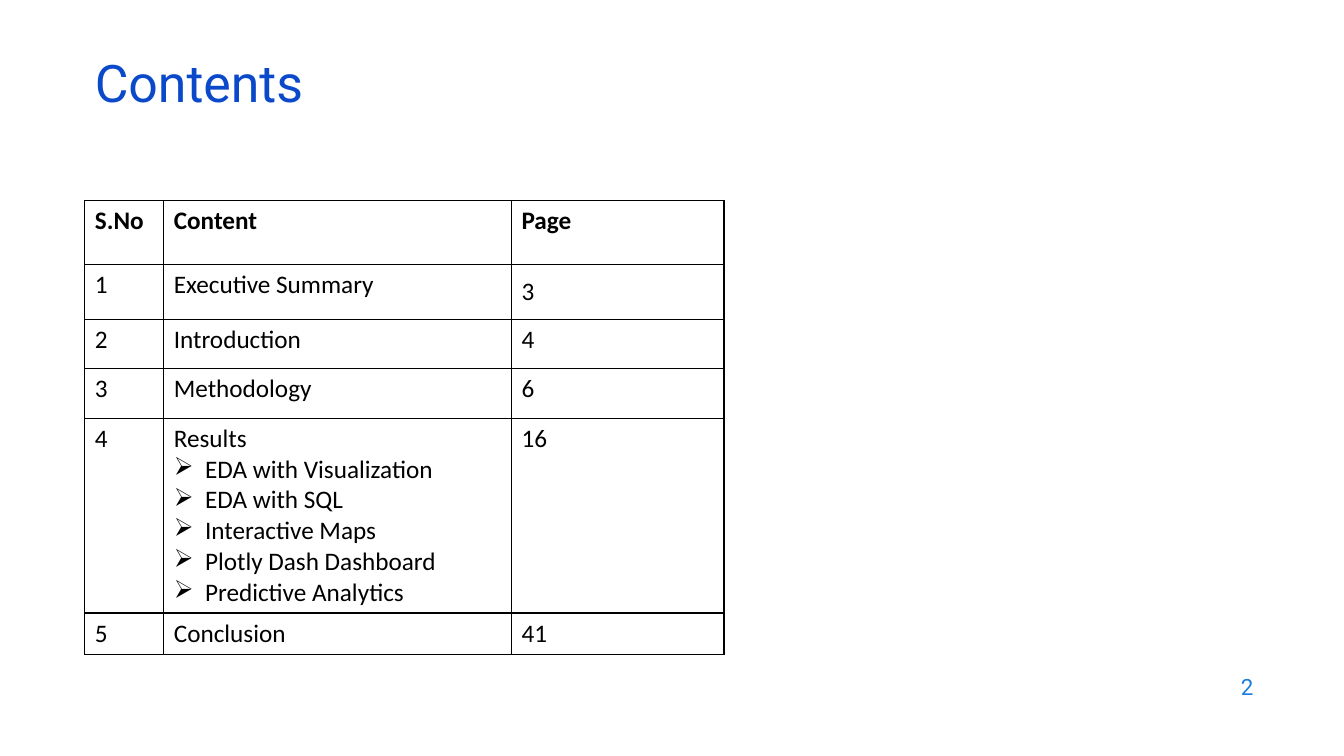
from dataclasses import dataclass

from lxml import etree
from pptx import Presentation
from pptx.dml.color import RGBColor
from pptx.enum.text import MSO_ANCHOR, PP_ALIGN
from pptx.oxml.ns import qn
from pptx.util import Inches, Pt

LEFT, RIGHT = PP_ALIGN.LEFT, PP_ALIGN.RIGHT
TOP, MIDDLE = MSO_ANCHOR.TOP, MSO_ANCHOR.MIDDLE

BLACK = RGBColor(0x00, 0x00, 0x00)
WHITE = RGBColor(0xFF, 0xFF, 0xFF)
BLUE = RGBColor(0x0B, 0x49, 0xCB)
SKY = RGBColor(0x1C, 0x7D, 0xDB)

WIDTH, HEIGHT = Inches(13.33), Inches(7.5)
COLS, ROWS = 16, 9
INDENT = Inches(0.31)
SPANS = (0.94, 4.14, 2.53)


@dataclass
class Box:
    """A place on the slide, in grid columns and rows."""
    col: float
    row: float
    wide: float
    high: float


@dataclass
class Entry:
    number: str
    topic: str
    page: str
    high: float
    points: tuple[str, ...] = ()
    bold: bool = False
    anchor: MSO_ANCHOR = TOP


ENTRIES = (
    Entry("S.No", "Content", "Page", 0.76, bold=True),
    Entry("1", "Executive Summary", "3", 0.65, anchor=MIDDLE),
    Entry("2", "Introduction", "4", 0.59),
    Entry("3", "Methodology", "6", 0.59),
    Entry("4", "Results", "16", 2.32, points=(
        "EDA with Visualization", "EDA with SQL", "Interactive Maps",
        "Plotly Dash Dashboard", "Predictive Analytics")),
    Entry("5", "Conclusion", "41", 0.49),
)


def across(cols: float) -> int:
    return round(WIDTH * cols / COLS)


def down(rows: float) -> int:
    return round(HEIGHT * rows / ROWS)


def place(box: Box) -> tuple[int, int, int, int]:
    return across(box.col), down(box.row), across(box.wide), down(box.high)


def write(para, text: str, *, size: float = 18, font: str = "Calibri",
          color: RGBColor = BLACK, bold: bool = False,
          align: PP_ALIGN = LEFT, spacing: float = 1.0,
          bullet: str = "") -> None:
    if bullet:
        props = para._p.get_or_add_pPr()
        props.set("marL", str(INDENT))
        props.set("indent", str(-INDENT))
        etree.SubElement(props, qn("a:buChar"), char=bullet)
    para.alignment = align
    para.line_spacing = spacing
    run = para.add_run()
    run.text = text
    run.font.size = Pt(size)
    run.font.name = font
    run.font.bold = bold
    run.font.color.rgb = color


def label(slide, box: Box, text: str, **style) -> None:
    frame = slide.shapes.add_textbox(*place(box)).text_frame
    frame.word_wrap = True
    frame.vertical_anchor = MIDDLE
    write(frame.paragraphs[0], text, font="Roboto", **style)


def border(cell) -> None:
    """Draw a thin black line on all four sides, ahead of the fill in the XML."""
    props = cell._tc.get_or_add_tcPr()
    for order, side in enumerate(("lnL", "lnR", "lnT", "lnB")):
        line = etree.Element(qn(f"a:{side}"), w=str(Pt(1)))
        fill = etree.SubElement(line, qn("a:solidFill"))
        etree.SubElement(fill, qn("a:srgbClr"), val=str(BLACK))
        props.insert(order, line)


def list_topics(slide) -> None:
    box = Box(1.01, 2.39, sum(SPANS), sum(entry.high for entry in ENTRIES))
    table = slide.shapes.add_table(
        len(ENTRIES), len(SPANS), *place(box)).table
    table.first_row = table.horz_banding = False
    for column, span in zip(table.columns, SPANS):
        column.width = across(span)
    for row, entry in zip(table.rows, ENTRIES):
        row.height = down(entry.high)
        number, topic, page = row.cells
        for cell, text in ((number, entry.number), (topic, entry.topic),
                           (page, entry.page)):
            cell.fill.solid()
            cell.fill.fore_color.rgb = WHITE
            border(cell)
            write(cell.text_frame.paragraphs[0], text, bold=entry.bold)
        page.vertical_anchor = entry.anchor
        for point in entry.points:
            write(topic.text_frame.add_paragraph(), point, bullet="➢")


def main() -> None:
    deck = Presentation()
    deck.slide_width, deck.slide_height = WIDTH, HEIGHT
    slide = deck.slides.add_slide(deck.slide_layouts[6])
    label(slide, Box(11.44, 7.91, 3.6, 0.53), "2",
          size=16, color=SKY, align=RIGHT)
    label(slide, Box(1.01, 0.71, 13.8, 0.72), "Contents",
          size=37, color=BLUE, spacing=0.7)
    list_topics(slide)
    deck.save("out.pptx")


if __name__ == "__main__":
    main()
